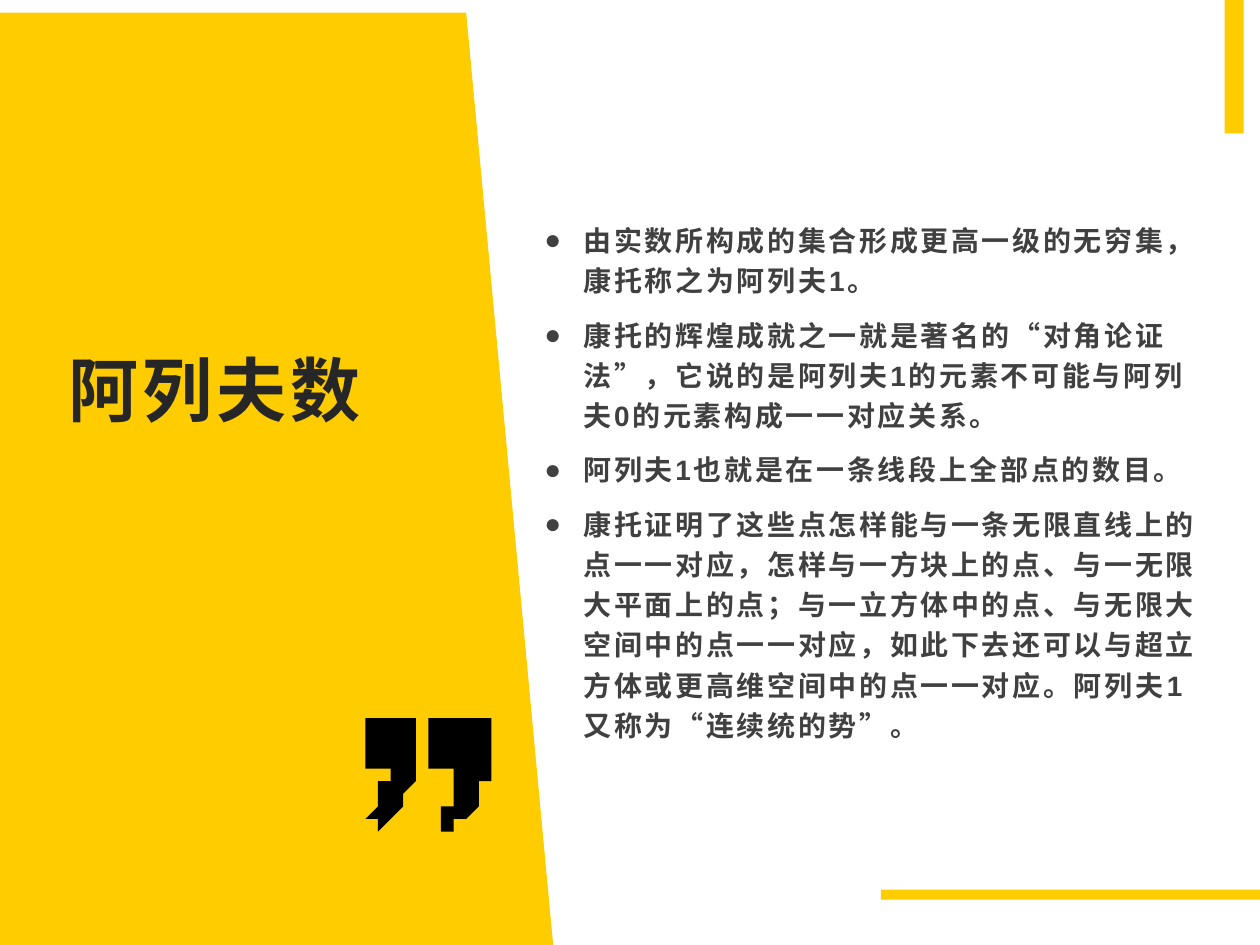
from dataclasses import dataclass

from lxml.etree import SubElement
from pptx import Presentation
from pptx.dml.color import RGBColor
from pptx.enum.shapes import MSO_SHAPE
from pptx.enum.text import MSO_ANCHOR
from pptx.oxml.ns import qn
from pptx.util import Inches, Pt

COLS, ROWS = 100, 75
CELL = Inches(0.1)
YELLOW, BLACK = "FFCC00", "000000"
Point = tuple[float, float]


@dataclass(frozen=True)
class Box:
    col: float
    row: float
    cols: float
    rows: float

    def emu(self) -> list[int]:
        return [round(v * CELL) for v in (self.col, self.row, self.cols, self.rows)]


@dataclass(frozen=True)
class TextStyle:
    size: float
    color: str
    tracking: int
    anchor: MSO_ANCHOR
    bullet: str = ""


TITLE = TextStyle(40, "262626", 240, MSO_ANCHOR.BOTTOM)
BODY = TextStyle(16, "404040", 160, MSO_ANCHOR.MIDDLE, "●")
BARS = [Box(69.9, 70.6, 30.1, 0.8), Box(97.2, 0, 1.5, 10.6)]
PANEL = [(0, 0.8), (37.4, 0.8), (44.5, 75.8), (0, 75.8)]
QUOTE_COLS = [34.4, 28.6]
QUOTE_ROW = 57.1
POINTS = [
    "由实数所构成的集合形成更高一级的无穷集，康托称之为阿列夫1。",
    "康托的辉煌成就之一就是著名的“对角论证法”，它说的是阿列夫1的元素不可能与阿列夫0的元素构成一一对应关系。",
    "阿列夫1也就是在一条线段上全部点的数目。",
    "康托证明了这些点怎样能与一条无限直线上的点一一对应，怎样与一方块上的点、与一无限大平面上的点；"
    "与一立方体中的点、与无限大空间中的点一一对应，如此下去还可以与超立方体或更高维空间中的点一一对应。"
    "阿列夫1又称为“连续统的势”。",
]


def rgb(color: str) -> RGBColor:
    return RGBColor.from_string(color)


def paint(sp, color: str) -> None:
    sp.shadow.inherit = False
    sp.fill.solid()
    sp.fill.fore_color.rgb = rgb(color)
    sp.line.fill.background()


def add_bar(s, box: Box) -> None:
    paint(s.shapes.add_shape(MSO_SHAPE.RECTANGLE, *box.emu()), YELLOW)


def add_outline(s, points: list[Point], color: str) -> None:
    fb = s.shapes.build_freeform(*points[0], scale=CELL)
    fb.add_line_segments(points[1:], close=True)
    paint(fb.convert_to_shape(), color)


def curve(a: Point, b: Point, c: Point, d: Point, steps: int = 12) -> list[Point]:
    ts = [i / steps for i in range(steps + 1)]
    return [
        tuple(
            (1 - t) ** 3 * w + 3 * (1 - t) ** 2 * t * x + 3 * (1 - t) * t**2 * y + t**3 * z
            for w, x, y, z in zip(a, b, c, d)
        )
        for t in ts
    ]


def quote_mark(col: float, row: float) -> list[Point]:
    outline = [
        (0, 0), (4.3, 0),
        *curve((4.3, 3.9), (4.15, 7.1), (1.3, 8.7), (1.25, 8.8)),
        *curve((1.1, 8.5), (0.9, 8.3), (0.7, 8.1), (0.45, 7.9)),
        *curve((0.3, 7.8), (0.35, 7.8), (1.85, 6.6), (2.1, 4.3)),
        (0, 4.3),
    ]
    return [(col + x, row + y) for x, y in outline]


def add_text(s, box: Box, lines: list[str], style: TextStyle) -> None:
    tf = s.shapes.add_textbox(*box.emu()).text_frame
    frame = dict(word_wrap=True, vertical_anchor=style.anchor, margin_left=Inches(0.07),
                 margin_right=Inches(0.07), margin_top=Inches(0.04), margin_bottom=Inches(0.04))
    for name, value in frame.items():
        setattr(tf, name, value)
    for i, line in enumerate(lines):
        p = tf.add_paragraph() if i else tf.paragraphs[0]
        r = p.add_run()
        r.text = line
        for name, value in dict(size=Pt(style.size), name="Arial", bold=True).items():
            setattr(r.font, name, value)
        r.font.color.rgb = rgb(style.color)
        rPr = r.font._element
        for name, value in dict(lang="zh-CN", spc=str(style.tracking)).items():
            rPr.set(name, value)
        if style.bullet:
            add_bullet(p, style.bullet)


def add_bullet(p, char: str) -> None:
    for name, value in dict(line_spacing=1.2, space_after=Pt(8)).items():
        setattr(p, name, value)
    pPr = p._p.get_or_add_pPr()
    indent = Inches(0.31)
    for name, value in dict(marL=indent, indent=-indent).items():
        pPr.set(name, str(value))
    SubElement(pPr, qn("a:buFont"), typeface="Arial")
    SubElement(pPr, qn("a:buChar"), char=char)


def main() -> None:
    prs = Presentation()
    prs.slide_width, prs.slide_height = COLS * CELL, ROWS * CELL
    s = prs.slides.add_slide(prs.slide_layouts[6])
    add_outline(s, PANEL, YELLOW)
    add_text(s, Box(4.7, 17.4, 28.9, 17.2), ["阿列夫数"], TITLE)
    add_text(s, Box(42.5, 16.1, 53.9, 43.9), POINTS, BODY)
    for bar in BARS:
        add_bar(s, bar)
    for col in QUOTE_COLS:
        add_outline(s, quote_mark(col, QUOTE_ROW), BLACK)
    prs.save("out.pptx")


if __name__ == "__main__":
    main()
